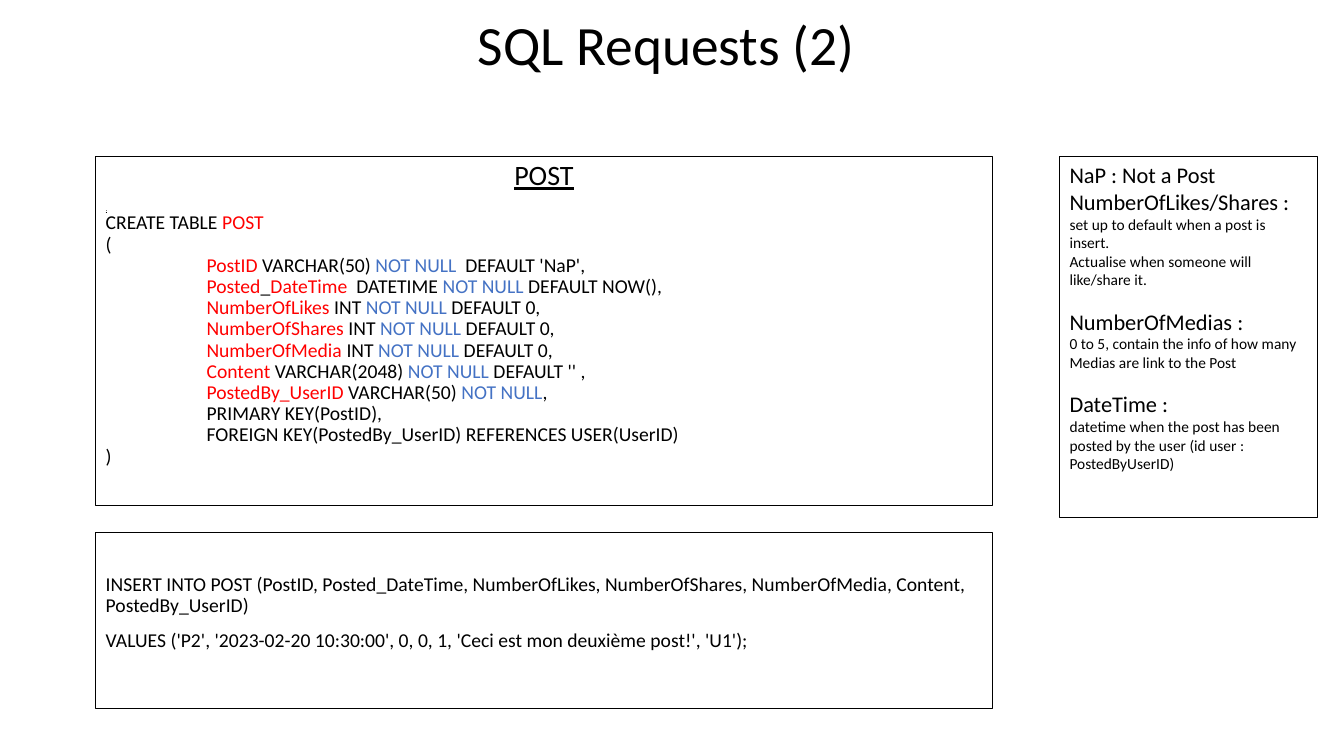
from dataclasses import dataclass
from typing import NamedTuple

from pptx import Presentation
from pptx.dml.color import RGBColor
from pptx.enum.shapes import MSO_SHAPE as Shape
from pptx.enum.text import MSO_ANCHOR as Anchor, MSO_AUTO_SIZE as AutoSize, PP_ALIGN as Align
from pptx.util import Inches, Pt

COLORS = {"text": "000000", "name": "FF0000", "constraint": "4472C4"}
FONT = "Calibri"


class Span(NamedTuple):
    text: str
    color: str = "text"


@dataclass
class Line:
    spans: list[Span]
    size: float = 14
    before: float = 0
    spacing: float = 0.9
    indent: float = 0
    align: Align = Align.LEFT
    underline: bool = False


@dataclass
class Box:
    left: float
    top: float
    width: float
    height: float
    lines: list[Line]
    inset_top: float = 0.05


def column(name: list[Span], kind: str, ending: str) -> Line:
    """One column definition of the CREATE TABLE statement."""
    return Line([*name, Span(f" {kind} "), Span("NOT NULL", "constraint"), Span(ending)], indent=1)


def red(text: str) -> list[Span]:
    return [Span(text, "name")]


def code(text: str, **options) -> Line:
    return Line([Span(text)], **options)


def heading(text: str, before: float = 0) -> Line:
    return code(text, size=16, before=before, spacing=1)


def note(text: str) -> Line:
    return code(text, size=11, spacing=1)


# Table definition
CREATE_LINES = [
    code("POST", size=20, align=Align.CENTER, underline=True),
    code(".", size=5, before=10, underline=True),
    Line([Span("CREATE TABLE "), Span("POST", "name")]),
    code("("),
    column(red("PostID"), "VARCHAR(50)", "  DEFAULT 'NaP',"),
    column([*red("Posted"), Span("_"), *red("DateTime"), Span(" ")], "DATETIME", " DEFAULT NOW(),"),
    *(column(red(f"NumberOf{item}"), "INT", " DEFAULT 0,") for item in ("Likes", "Shares", "Media")),
    column(red("Content"), "VARCHAR(2048)", " DEFAULT '' ,"),
    column(red("PostedBy_UserID"), "VARCHAR(50)", ","),
    code("PRIMARY KEY(PostID),", indent=1),
    code("FOREIGN KEY(PostedBy_UserID) REFERENCES USER(UserID)", indent=1),
    code(")"),
]

# Explanations beside the table
NOTE_GAP = 13.4
NOTE_LINES = [
    heading("NaP : Not a Post"),
    heading("NumberOfLikes/Shares :"),
    note("set up to default when a post is insert."),
    note("Actualise when someone will like/share it."),
    heading("NumberOfMedias :", NOTE_GAP),
    note("0 to 5, contain the info of how many Medias are link to the Post"),
    heading("DateTime :", NOTE_GAP),
    note("datetime when the post has been posted by the user (id user : PostedByUserID)"),
]

# Sample row
INSERT_LINES = [
    code("INSERT INTO POST (PostID, Posted_DateTime, NumberOfLikes, NumberOfShares, "
         "NumberOfMedia, Content, PostedBy_UserID)"),
    code("VALUES ('P2', '2023-02-20 10:30:00', 0, 0, 1, 'Ceci est mon deuxième post!', 'U1');",
         before=10),
]

BOXES = [
    Box(0.95, 1.55, 8.89, 3.47, CREATE_LINES),
    Box(10.51, 1.55, 2.56, 3.58, NOTE_LINES),
    Box(0.95, 5.28, 8.89, 1.75, INSERT_LINES, inset_top=0.42),
]


def add_span(para, text: str, *, size: float, color: str = "text", underline: bool = False) -> None:
    run = para.add_run()
    run.text = text
    run.font.name = FONT
    run.font.size = Pt(size)
    run.font.underline = underline
    run.font.color.rgb = RGBColor.from_string(COLORS[color])


def write_lines(frame, lines: list[Line]) -> None:
    for index, line in enumerate(lines):
        para = frame.add_paragraph() if index else frame.paragraphs[0]
        para.alignment = line.align
        para.line_spacing = line.spacing
        para.space_before = Pt(line.before)
        if line.indent:
            properties = para._p.get_or_add_pPr()
            properties.set("marL", str(Inches(line.indent)))
            properties.set("indent", "0")
        for span in line.spans:
            add_span(para, span.text, size=line.size, color=span.color, underline=line.underline)


def draw_box(slide, box: Box) -> None:
    shape = slide.shapes.add_shape(
        Shape.RECTANGLE, Inches(box.left), Inches(box.top), Inches(box.width), Inches(box.height))
    shape.shadow.inherit = False
    shape.fill.background()
    shape.line.color.rgb = RGBColor.from_string(COLORS["text"])
    shape.line.width = Pt(0.75)
    frame = shape.text_frame
    frame.word_wrap = True
    frame.vertical_anchor = Anchor.TOP
    frame.margin_top = Inches(box.inset_top)
    write_lines(frame, box.lines)


def draw_title(slide, text: str) -> None:
    title = slide.shapes.title
    title.left, title.top = Inches(4.64), Inches(0.14)
    title.width, title.height = Inches(4.06), Inches(0.67)
    frame = title.text_frame
    frame.auto_size = AutoSize.NONE
    frame.vertical_anchor = Anchor.MIDDLE
    write_lines(frame, [code(text, size=39.6)])


def main() -> None:
    deck = Presentation()
    deck.slide_width, deck.slide_height = Inches(13.33), Inches(7.5)
    page = deck.slides.add_slide(deck.slide_layouts[5])
    draw_title(page, "SQL Requests (2)")
    for box in BOXES:
        draw_box(page, box)
    deck.save("out.pptx")


if __name__ == "__main__":
    main()
